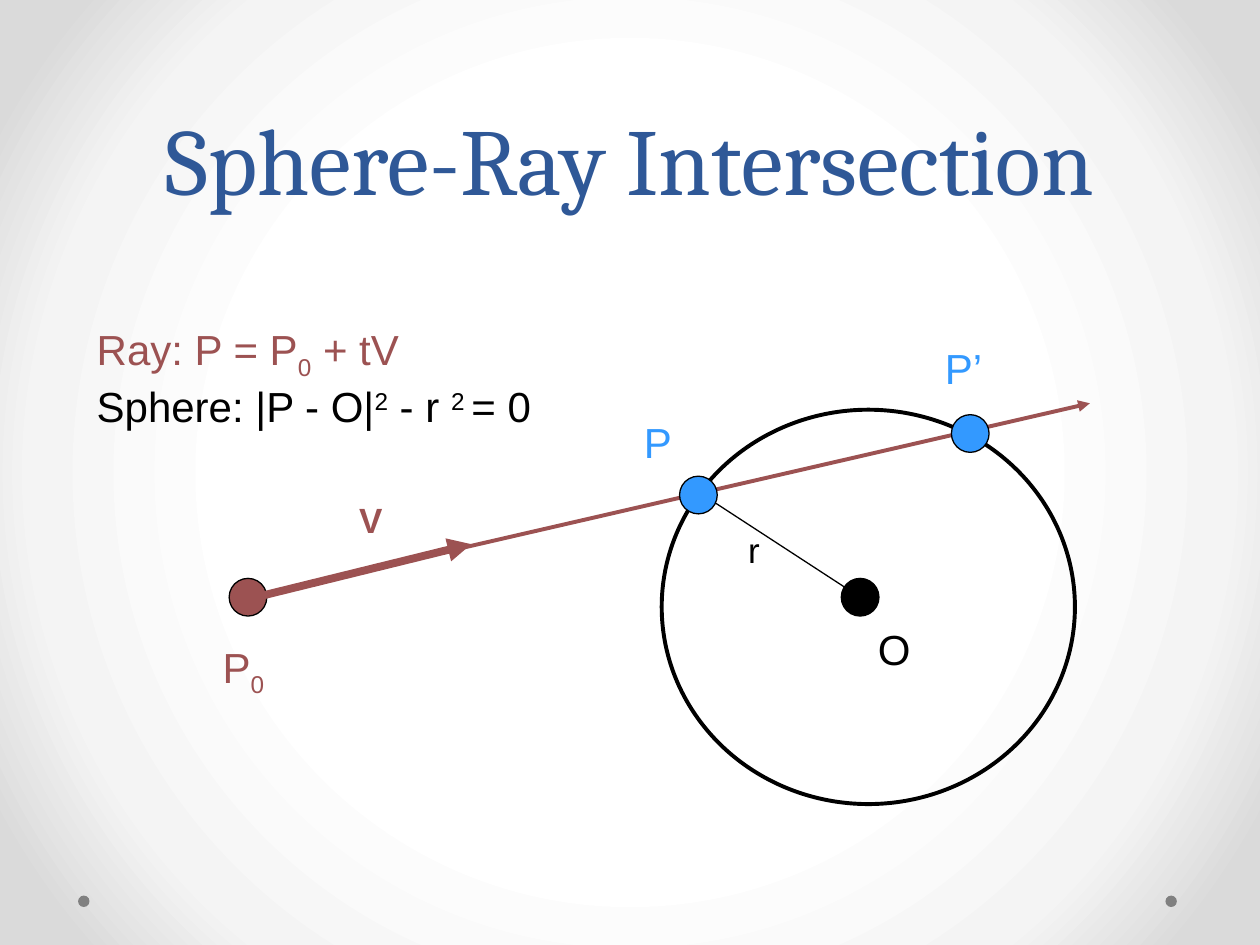
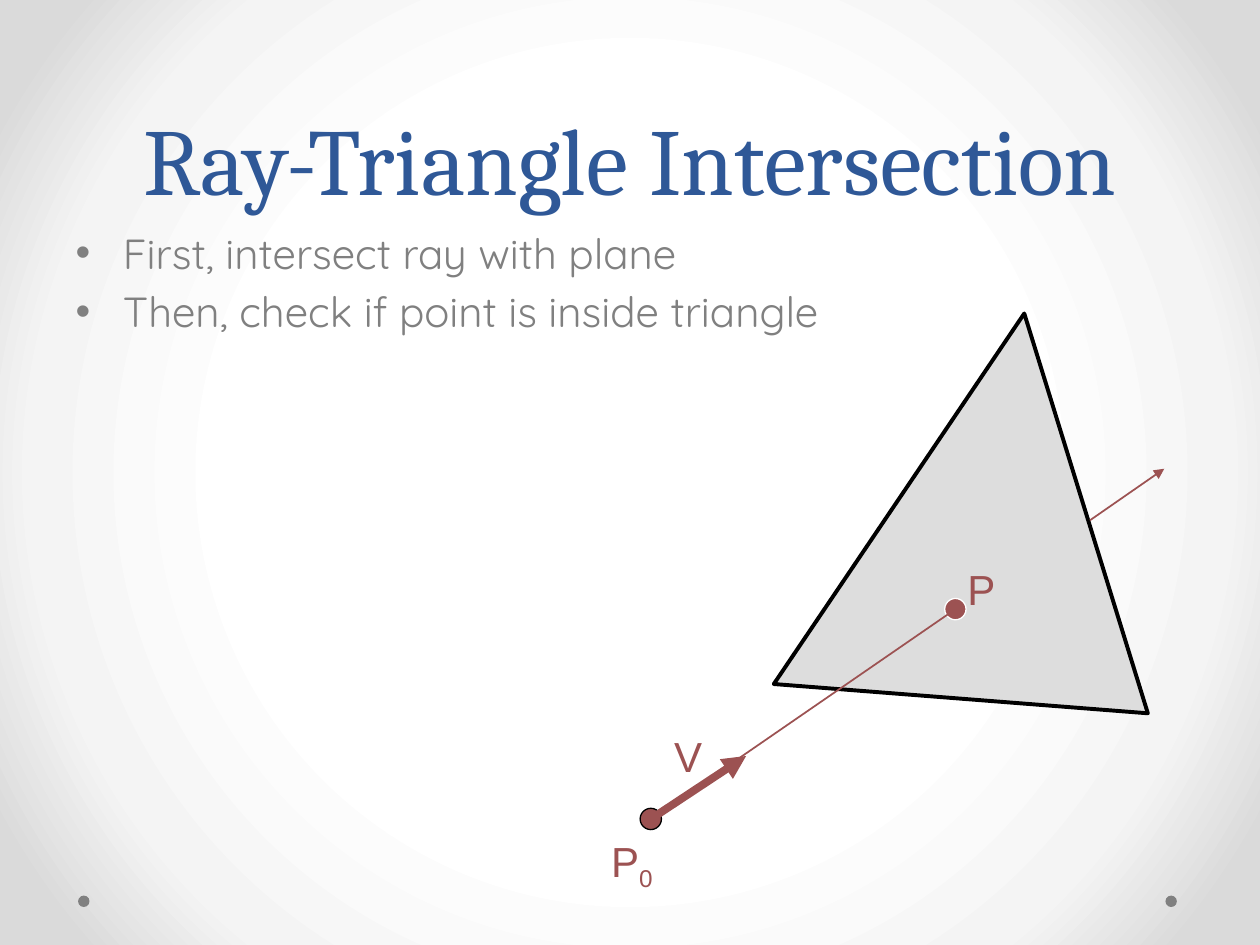
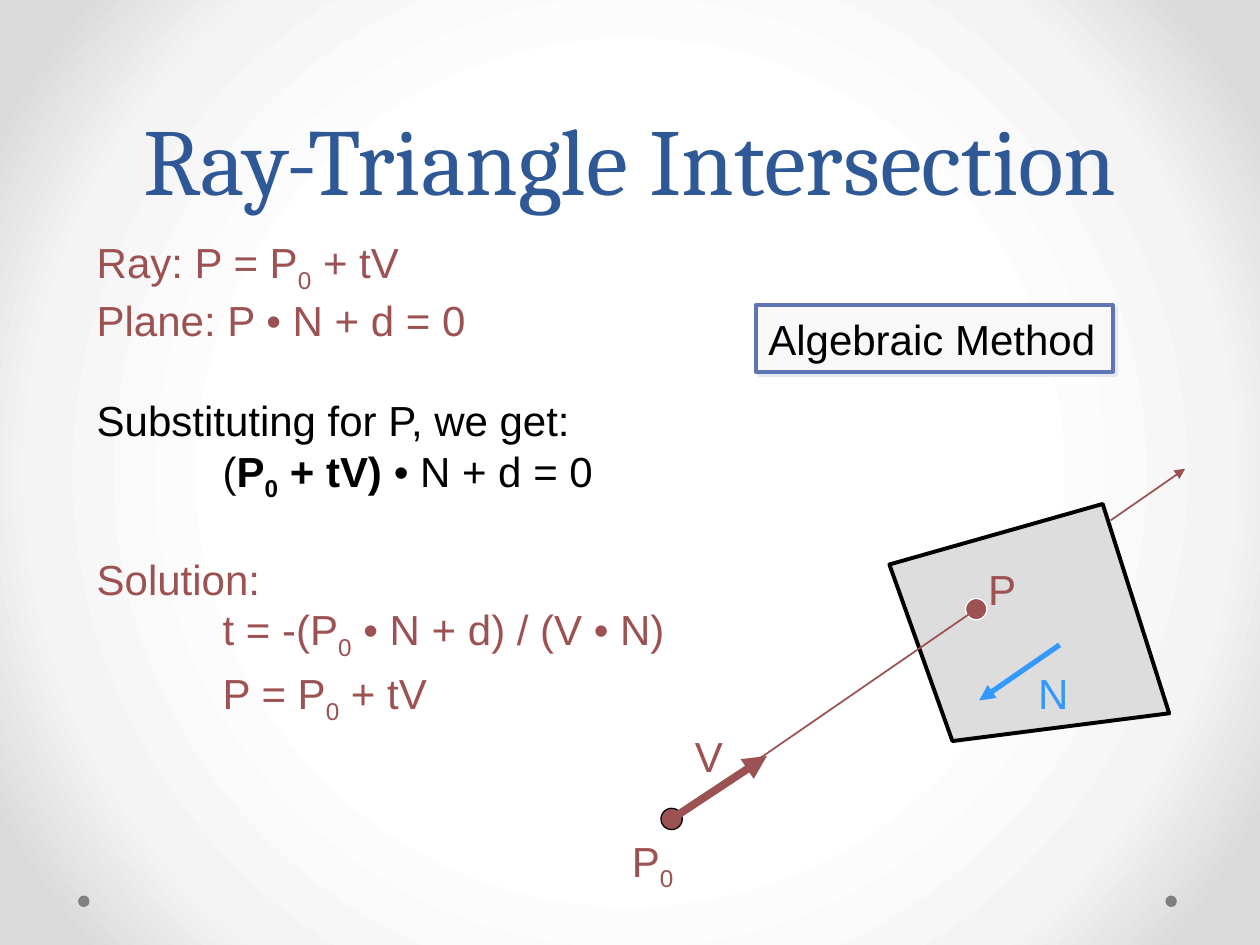
"""Three slides on intersecting a ray with a sphere and with a triangle."""

from dataclasses import dataclass

from pptx import Presentation
from pptx.dml.color import RGBColor
from pptx.enum.shapes import MSO_CONNECTOR, MSO_SHAPE
from pptx.enum.text import MSO_ANCHOR, MSO_AUTO_SIZE, PP_ALIGN
from pptx.oxml import parse_xml
from pptx.oxml.ns import nsdecls, qn
from pptx.util import Cm, Pt

COLORS = {
    "title": "2F5897",
    "gray": "808080",
    "ray": "9C5252",
    "hit": "3399FF",
    "black": "000000",
    "white": "FFFFFF",
    "face": "DDDDDD",
    "frame": "6076B4",
    "panel": "F8F8F8",
    "shadow": "E4E9EF",
    "mid": "F4F4F4",
    "edge": "DADADA",
}
BACKGROUND_STOPS = ((50, "white"), (76, "mid"), (92, "edge"))
TITLE_AND_CONTENT, TITLE_ONLY = 1, 5
LINE_FACTOR = 1.2

Point = tuple[float, float]


@dataclass(frozen=True)
class Span:
    text: str
    baseline: int = 0
    bold: bool = False


@dataclass(frozen=True)
class Line:
    spans: tuple[Span, ...]
    color: str = "ray"
    indent: float = 0
    blank_above: int = 0


@dataclass(frozen=True)
class Label:
    left: float
    top: float
    width: float
    lines: tuple[Line, ...]
    size: int = 24


@dataclass(frozen=True)
class Dot:
    center: Point
    diameter: float
    fill: str
    outline: str | None = "black"


@dataclass(frozen=True)
class Stroke:
    start: Point
    end: Point
    color: str = "ray"
    weight: float = 1
    arrow: bool = False


ZERO = Span("0", -25)
POINT_ON_RAY = (Span("P = P"), ZERO, Span(" + tV"))
RAY_EQUATION = Line((Span("Ray: P = P"), ZERO, Span(" + tV")))


def rgb(name: str) -> RGBColor:
    return RGBColor.from_string(COLORS[name])


def plain(text: str, color: str = "ray", bold: bool = False) -> tuple[Line, ...]:
    return (Line((Span(text, bold=bold),), color),)


ORIGIN_TEXT = (Line((Span("P"), ZERO)),)


def write_span(para, text: str, *, size: float, color: str, font: str = "Arial",
               bold: bool = False, baseline: int = 0) -> None:
    span = para.add_run()
    span.text = text
    span.font.name = font
    span.font.size = Pt(size)
    span.font.bold = bold
    span.font.color.rgb = rgb(color)
    if baseline:
        span._r.get_or_add_rPr().set("baseline", str(baseline * 1000))


def write_lines(box, lines: tuple[Line, ...], size: float) -> None:
    frame = box.text_frame
    frame.word_wrap = False
    frame.auto_size = MSO_AUTO_SIZE.SHAPE_TO_FIT_TEXT
    for index, line in enumerate(lines):
        para = frame.add_paragraph() if index else frame.paragraphs[0]
        para.alignment = PP_ALIGN.LEFT
        if line.indent:
            para._p.get_or_add_pPr().set("marL", str(Cm(line.indent)))
        if line.blank_above:
            para.space_before = Pt(line.blank_above * size * LINE_FACTOR)
        for span in line.spans:
            write_span(para, span.text, size=size, color=line.color,
                       bold=span.bold, baseline=span.baseline)


def add_label(page, label: Label) -> None:
    rows = sum(1 + line.blank_above for line in label.lines)
    height = Cm(0.25) + Pt(rows * label.size * LINE_FACTOR)
    box = page.shapes.add_textbox(Cm(label.left), Cm(label.top), Cm(label.width), height)
    write_lines(box, label.lines, label.size)


def style_shape(shape, fill: str | None, outline: str | None, weight: float) -> None:
    shape.shadow.inherit = False
    if fill:
        shape.fill.solid()
        shape.fill.fore_color.rgb = rgb(fill)
    else:
        shape.fill.background()
    if outline:
        shape.line.color.rgb = rgb(outline)
        shape.line.width = Pt(weight)
    else:
        shape.line.fill.background()


def add_dot(page, dot: Dot):
    left, top = (Cm(value - dot.diameter / 2) for value in dot.center)
    shape = page.shapes.add_shape(
        MSO_SHAPE.OVAL, left, top, Cm(dot.diameter), Cm(dot.diameter))
    style_shape(shape, dot.fill, dot.outline, 0.75)
    return shape


def add_stroke(page, stroke: Stroke) -> None:
    ends = (Cm(value) for value in stroke.start + stroke.end)
    connector = page.shapes.add_connector(MSO_CONNECTOR.STRAIGHT, *ends)
    connector.line.color.rgb = rgb(stroke.color)
    connector.line.width = Pt(stroke.weight)
    properties = connector.element.spPr
    if stroke.arrow:
        properties.find(qn("a:ln")).append(
            parse_xml(f'<a:tailEnd {nsdecls("a")} type="triangle"/>'))
    properties.append(parse_xml(f'<a:effectLst {nsdecls("a")}/>'))


def add_polygon(page, corners: tuple[Point, ...]) -> None:
    points = [(Cm(x), Cm(y)) for x, y in corners]
    builder = page.shapes.build_freeform(*points[0], scale=1.0)
    builder.add_line_segments(points[1:], close=True)
    style_shape(builder.convert_to_shape(), "face", "black", 2.25)


def draw(page, *items: Label | Dot | Stroke) -> None:
    drawers = {Label: add_label, Dot: add_dot, Stroke: add_stroke}
    for item in items:
        drawers[type(item)](page, item)


def set_background(master) -> None:
    master.background.fill.solid()
    solid = master.element.xpath("//p:bgPr/a:solidFill")[0]
    stops = "".join(
        f'<a:gs pos="{position * 1000}"><a:srgbClr val="{COLORS[name]}"/></a:gs>'
        for position, name in BACKGROUND_STOPS)
    gradient = parse_xml(
        f'<a:gradFill {nsdecls("a")} rotWithShape="1"><a:gsLst>{stops}</a:gsLst>'
        '<a:path path="circle"><a:fillToRect l="50000" t="50000" r="50000" b="50000"/>'
        '</a:path></a:gradFill>')
    solid.getparent().replace(solid, gradient)


def move_footer_dots_to_master(page, master) -> None:
    for index, x in enumerate((23.61, 1.69)):
        shape = add_dot(page, Dot((x, 18.17), 0.23, "gray", None))
        shape.element.nvSpPr.cNvPr.id = 20 + index
        master.element.cSld.spTree.append(shape.element)


def add_page(deck, title: str, layout: int = TITLE_ONLY):
    page = deck.slides.add_slide(deck.slide_layouts[layout])
    box = page.shapes.title
    box.left, box.top, box.width, box.height = Cm(1.27), Cm(0), Cm(22.86), Cm(4.45)
    frame = box.text_frame
    frame.auto_size = MSO_AUTO_SIZE.NONE
    frame.vertical_anchor = MSO_ANCHOR.BOTTOM
    para = frame.paragraphs[0]
    para.alignment = PP_ALIGN.CENTER
    para.line_spacing = Pt(58)
    write_span(para, title, size=54, color="title", font="Cambria")
    return page


def draw_ray_through_face(page, shift: float = 0) -> None:
    origin, hit = (13.12 + shift, 16.51), (19.26 + shift, 12.28)
    draw(
        page,
        Dot(origin, 0.43, "ray"),
        Stroke((21.97 + shift, 10.49), (23.47 + shift, 9.45), arrow=True),
        Dot(hit, 0.43, "ray", "white"),
        Label(19.25 + shift, 11.23, 1.07, plain("P")),
        Stroke(origin, hit),
        Label(12.07 + shift, 16.71, 1.4, ORIGIN_TEXT),
        Stroke(origin, (15.04 + shift, 15.24), weight=4.5, arrow=True),
        Label(13.34 + shift, 14.6, 1.07, plain("V")),
    )


def add_method_box(page, text: str) -> None:
    box = page.shapes.add_shape(
        MSO_SHAPE.RECTANGLE, Cm(15.24), Cm(6.15), Cm(7.19), Cm(1.35))
    style_shape(box, "panel", "frame", 2.25)
    box.element.spPr.find(qn("a:effectLst")).append(parse_xml(
        f'<a:outerShdw {nsdecls("a")} dist="{Pt(2.8)}" dir="2700000" algn="ctr" '
        f'rotWithShape="0"><a:srgbClr val="{COLORS["shadow"]}"/></a:outerShdw>'))
    write_lines(box, plain(text, "black"), 24)


def build_sphere_page(deck) -> None:
    page = add_page(deck, "Sphere-Ray Intersection")
    move_footer_dots_to_master(page, deck.slide_master)
    sphere_equation = Line(
        (Span("Sphere: |P - O|"), Span("2", 30), Span(" - r "), Span("2 ", 30),
         Span("= 0")), "black")
    add_label(page, Label(1.7, 6.4, 10.01, (RAY_EQUATION, sphere_equation)))
    sphere = page.shapes.add_shape(
        MSO_SHAPE.OVAL, Cm(13.34), Cm(8.26), Cm(8.33), Cm(7.95))
    style_shape(sphere, None, "black", 2.25)
    origin, center, near, far = (5, 12.04), (17.34, 12.04), (14.08, 9.98), (19.56, 8.74)
    draw(
        page,
        Label(4.24, 12.8, 1.4, ORIGIN_TEXT),
        Dot(origin, 0.76, "ray"),
        Label(6.99, 9.93, 0.99, plain("V", bold=True), 20),
        Stroke(origin, (21.97, 8.13), weight=2.25, arrow=True),
        Dot(center, 0.76, "black"),
        Stroke((5.03, 12.07), (9.5, 10.97), weight=4.5, arrow=True),
        Stroke((14.1, 9.93), center, "black", 0.75),
        Label(17.45, 12.45, 1.17, plain("O", "black")),
        Label(12.73, 8.28, 1.09, plain("P", "hit")),
        Label(14.83, 10.52, 0.74, plain("r", "black"), 20),
        Label(18.8, 6.78, 1.3, plain("P’", "hit")),
        Dot(near, 0.76, "hit"),
        Dot(far, 0.76, "hit"),
    )


def build_triangle_page(deck) -> None:
    page = add_page(deck, "Ray-Triangle Intersection", TITLE_AND_CONTENT)
    body = page.placeholders[1]
    body.left, body.top, body.width, body.height = Cm(1.27), Cm(4.45), Cm(22.86), Cm(12.57)
    frame = body.text_frame
    steps = ("First, intersect ray with plane", "Then, check if point is inside triangle")
    for index, step in enumerate(steps):
        para = frame.add_paragraph() if index else frame.paragraphs[0]
        write_span(para, step, size=24, color="gray", font="Quicksand")
    add_polygon(page, ((20.65, 6.32), (23.14, 14.38), (15.6, 13.79)))
    draw_ray_through_face(page)


def build_algebra_page(deck) -> None:
    page = add_page(deck, "Ray-Triangle Intersection")
    derivation = (
        RAY_EQUATION,
        Line((Span("Plane: P • N + d = 0"),)),
        Line((Span("Substituting for P, we get:"),), "black", blank_above=1),
        Line((Span("("), Span("P", bold=True), Span("0", -25, True),
              Span(" + tV) ", bold=True), Span("• N + d = 0")), "black", indent=2.54),
        Line((Span("Solution:"),), blank_above=1),
        Line((Span("t = -(P"), ZERO, Span(" • N + d) / (V • N)")), indent=2.54),
    )
    add_label(page, Label(1.7, 4.65, 11.99, derivation))
    add_polygon(page, ((17.93, 11.38), (22.23, 10.16), (23.57, 14.38), (19.2, 14.94)))
    draw(
        page,
        Stroke((21.36, 13), (19.74, 14.12), "hit", 3, arrow=True),
        Label(20.68, 13.34, 1.12, plain("N", "hit")),
    )
    draw_ray_through_face(page, shift=0.42)
    add_method_box(page, "Algebraic Method")
    add_label(page, Label(4.24, 13.34, 4.67, (Line(POINT_ON_RAY),)))


def main() -> None:
    deck = Presentation()
    deck.slide_width, deck.slide_height = Cm(25.4), Cm(19.05)
    set_background(deck.slide_master)
    build_sphere_page(deck)
    build_triangle_page(deck)
    build_algebra_page(deck)
    deck.save("out.pptx")


if __name__ == "__main__":
    main()
